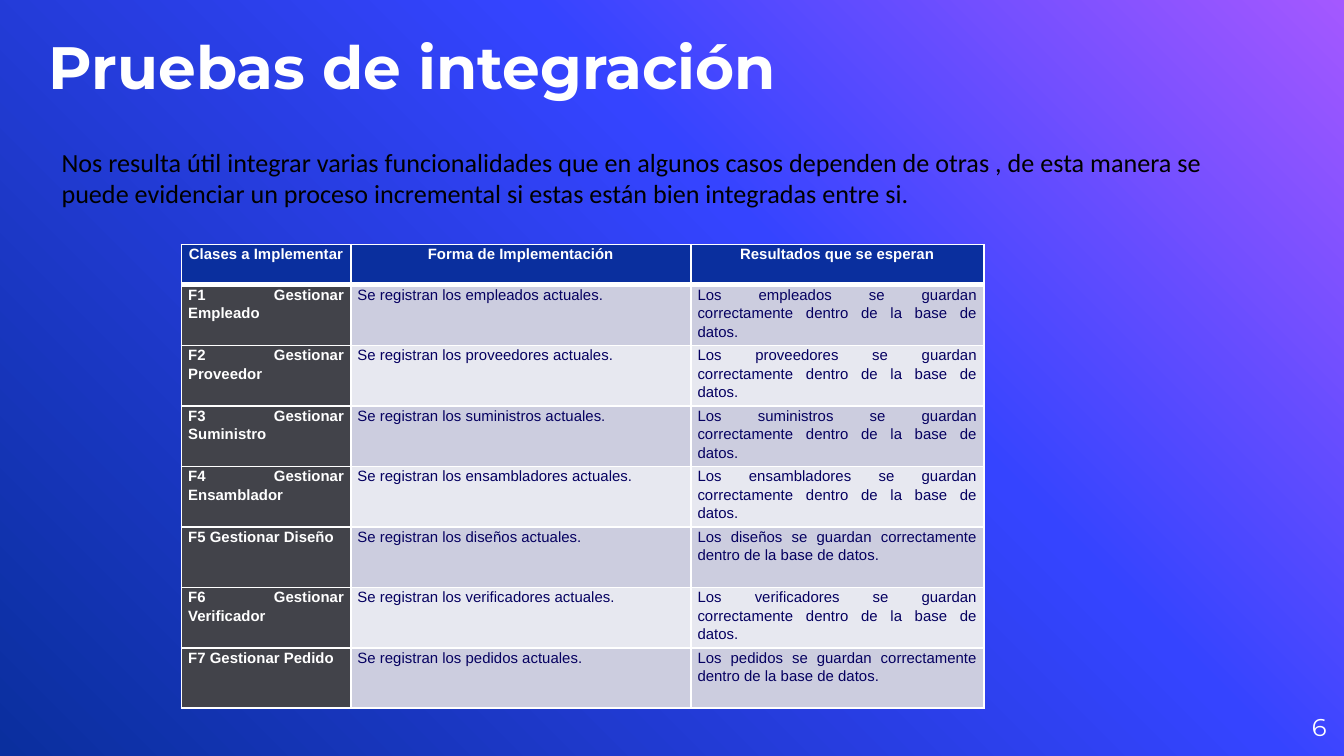
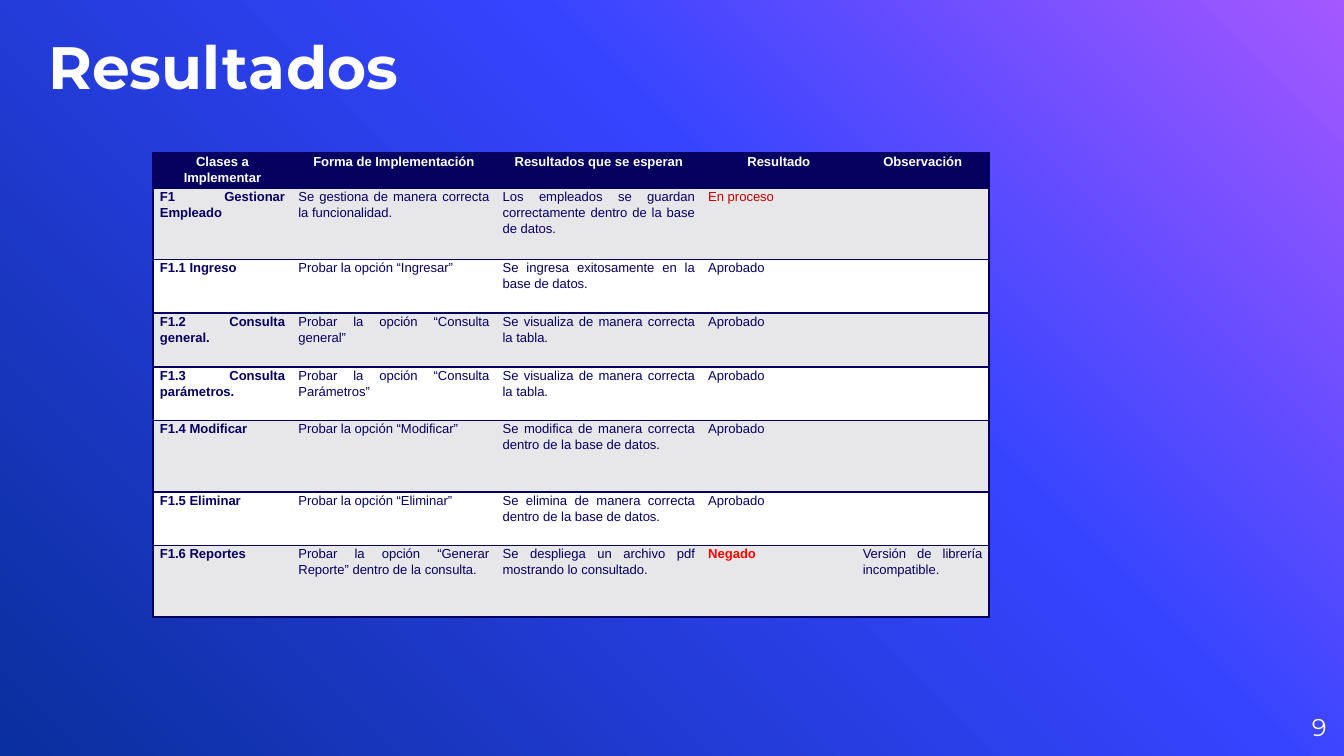
from copy import deepcopy

from pptx import Presentation
from pptx import util as u
from pptx.dml import color
from pptx.enum import text
from pptx.oxml import ns
from pptx.oxml.xmlchemy import OxmlElement

WHITE, BLACK, NAVY, BLUE = "FFFFFF", "000000", "050060", "0A2F9E"
DARK_GRAY, LILAC, PALE_LILAC, PALE_GRAY = "42434A", "CCCDDF", "E7E8F0", "E7E7EA"
GRADIENT = [(0, "A458FF"), (0.39, "3544FF"), (1, BLUE)]
LEFT, CENTER, RIGHT, JUSTIFY = (
    text.PP_ALIGN.LEFT, text.PP_ALIGN.CENTER, text.PP_ALIGN.RIGHT, text.PP_ALIGN.JUSTIFY)

INTRO = ("Nos resulta útil integrar varias funcionalidades que en algunos casos dependen "
         "de otras , de esta manera se puede evidenciar un proceso incremental si estas "
         "están bien integradas entre si.")
HEADINGS = ["Clases a Implementar", "Forma de Implementación", "Resultados que se esperan"]
SAVED = "Los {} se guardan correctamente dentro de la base de datos."

MANAGED = [
    ("Empleado", "empleados"), ("Proveedor", "proveedores"),
    ("Suministro", "suministros"), ("Ensamblador", "ensambladores"),
    ("Diseño", "diseños"), ("Verificador", "verificadores"), ("Pedido", "pedidos"),
]
INTEGRATION = [
    (f"F{number} Gestionar {name}", f"Se registran los {plural} actuales.", SAVED.format(plural))
    for number, (name, plural) in enumerate(MANAGED, 1)
]
RESULTS = [
    ("F1 Gestionar Empleado", "Se gestiona de manera correcta la funcionalidad.",
     SAVED.format("empleados"), "En proceso", ""),
    ("F1.1 Ingreso", "Probar la opción “Ingresar”",
     "Se ingresa exitosamente en la base de datos.", "Aprobado", ""),
    ("F1.2 Consulta general.", "Probar la opción “Consulta general”",
     "Se visualiza de manera correcta la tabla.", "Aprobado", ""),
    ("F1.3 Consulta parámetros.", "Probar la opción “Consulta Parámetros”",
     "Se visualiza de manera correcta la tabla.", "Aprobado", ""),
    ("F1.4 Modificar", "Probar la opción “Modificar”",
     "Se modifica de manera correcta dentro de la base de datos.", "Aprobado", ""),
    ("F1.5 Eliminar", "Probar la opción “Eliminar”",
     "Se elimina de manera correcta dentro de la base de datos.", "Aprobado", ""),
    ("F1.6 Reportes", "Probar la opción “Generar Reporte” dentro de la consulta.",
     "Se despliega un archivo pdf mostrando lo consultado.", "Negado",
     "Versión de librería incompatible."),
]
STATUS_FORMATS = {
    "En proceso": {"hex_color": "C00000"},
    "Negado": {"hex_color": "FF0000", "bold": True},
}


def rgb(hex_color):
    return color.RGBColor.from_string(hex_color)


def write(frame, words, *, size, font="Arial", hex_color=WHITE, bold=False, align=LEFT,
          line_spacing=None, space_after=None):
    paragraph = frame.paragraphs[0]
    paragraph.alignment = align
    paragraph.line_spacing = line_spacing
    if space_after is not None:
        paragraph.space_after = u.Pt(space_after)
    run = paragraph.add_run()
    run.text = words
    run.font.name, run.font.size, run.font.bold = font, u.Pt(size), bold
    run.font.color.rgb = rgb(hex_color)


def set_borders(cell, hex_color, widths):
    """Set the borders in the order left, right, top, bottom; width 0 hides one."""
    properties = cell._tc.get_or_add_tcPr()
    for side, width in zip("LRTB", widths):
        line = OxmlElement(f"a:ln{side}")
        line.set("w", str(u.Pt(width)))
        if width:
            shade = OxmlElement("a:srgbClr")
            shade.set("val", hex_color)
            fill = OxmlElement("a:solidFill")
            fill.append(shade)
        else:
            fill = OxmlElement("a:noFill")
        line.append(fill)
        properties.append(line)


class Deck:
    """Holds the shared style and the slide being filled."""

    def __init__(self):
        self.show = Presentation()
        self.show.slide_width, self.show.slide_height = u.Inches(10), u.Inches(5.625)
        self.slide = None
        self.paint_background()

    def paint_background(self):
        master = self.show.slide_master
        fill = master.background.fill
        fill.gradient()
        fill.gradient_angle = 225
        stops = next(master.element.iter(ns.qn("a:gsLst")))
        stops.append(deepcopy(stops[0]))
        for stop, (position, hex_color) in zip(fill.gradient_stops, GRADIENT):
            stop.position = position
            stop.color.rgb = rgb(hex_color)

    def add_slide(self, title, number):
        self.slide = self.show.slides.add_slide(self.show.slide_layouts[6])
        self.add_text(title, 0.36, 0.22, 6.21, 0.7, size=32, font="Montserrat", bold=True)
        self.add_text(str(number), 9.27, 5.19, 0.6, 0.43, anchor=text.MSO_ANCHOR.MIDDLE,
                      size=13, font="Montserrat", align=RIGHT)

    def add_text(self, words, left, top, width, height, *, insets=(0, 0),
                 anchor=text.MSO_ANCHOR.TOP, grow=False, **style):
        box = self.slide.shapes.add_textbox(*map(u.Inches, (left, top, width, height)))
        frame = box.text_frame
        frame.word_wrap = True
        frame.vertical_anchor = anchor
        frame.margin_left = frame.margin_right = u.Inches(insets[0])
        frame.margin_top = frame.margin_bottom = u.Inches(insets[1])
        if grow:
            frame.auto_size = text.MSO_AUTO_SIZE.SHAPE_TO_FIT_TEXT
        write(frame, words, **style)

    def add_table(self, rows, left, top, widths, heights, *, size, cell_look, borders):
        """cell_look gives a cell's fill and text format, borders its colour and widths."""
        table = self.slide.shapes.add_table(
            len(rows), len(widths),
            *map(u.Inches, (left, top, sum(widths), sum(heights)))).table
        table.horz_banding = False
        for column, width in zip(table.columns, widths):
            column.width = u.Inches(width)
        for row, height in zip(table.rows, heights):
            row.height = u.Inches(height)
        for r, row in enumerate(rows):
            for c, words in enumerate(row):
                cell = table.cell(r, c)
                cell.margin_left = cell.margin_right = u.Inches(0.05)
                cell.margin_top = cell.margin_bottom = 0
                set_borders(cell, *borders(r, c))
                fill, style = cell_look(r, c, words)
                cell.fill.solid()
                cell.fill.fore_color.rgb = rgb(fill)
                write(cell.text_frame, words, size=size, line_spacing=1.1, space_after=6,
                      **{"align": JUSTIFY if r else CENTER, **style})


def integration_look(r, c, words):
    if r == 0:
        return BLUE, {"bold": True}
    if c == 0:
        return DARK_GRAY, {"bold": True}
    return (LILAC if r % 2 else PALE_LILAC), {"hex_color": NAVY}


def integration_borders(r, c):
    return WHITE, (1, 1, 3 if r == 1 else 1, 3 if r == 0 else 1)


def results_look(r, c, words):
    if r == 0:
        return NAVY, {"bold": True}
    style = {"hex_color": NAVY, "bold": c == 0, **STATUS_FORMATS.get(words, {})}
    return (PALE_GRAY if r % 2 else WHITE), style


def results_borders(r, c):
    return NAVY, (int(c == 0), int(c == 4), 1, 1)


def main():
    deck = Deck()

    deck.add_slide("Pruebas de integración", 6)
    deck.add_text(INTRO, 0.36, 1.04, 9.23, 0.57, insets=(0.1, 0.05), grow=True,
                  size=14, font="Calibri", hex_color=BLACK)
    deck.add_table([HEADINGS, *INTEGRATION], 1.35, 1.82, [1.26, 2.53, 2.18],
                   [0.3] + [0.45] * len(INTEGRATION), size=8,
                   cell_look=integration_look, borders=integration_borders)

    deck.add_slide("Resultados", 9)
    deck.add_table([HEADINGS + ["Resultado", "Observación"], *RESULTS], 1.14, 1.14,
                   [1.03, 1.52, 1.53, 1.15, 0.99],
                   [0.26, 0.53, 0.4, 0.4, 0.4, 0.53, 0.4, 0.53], size=7,
                   cell_look=results_look, borders=results_borders)

    deck.show.save("out.pptx")


if __name__ == "__main__":
    main()
